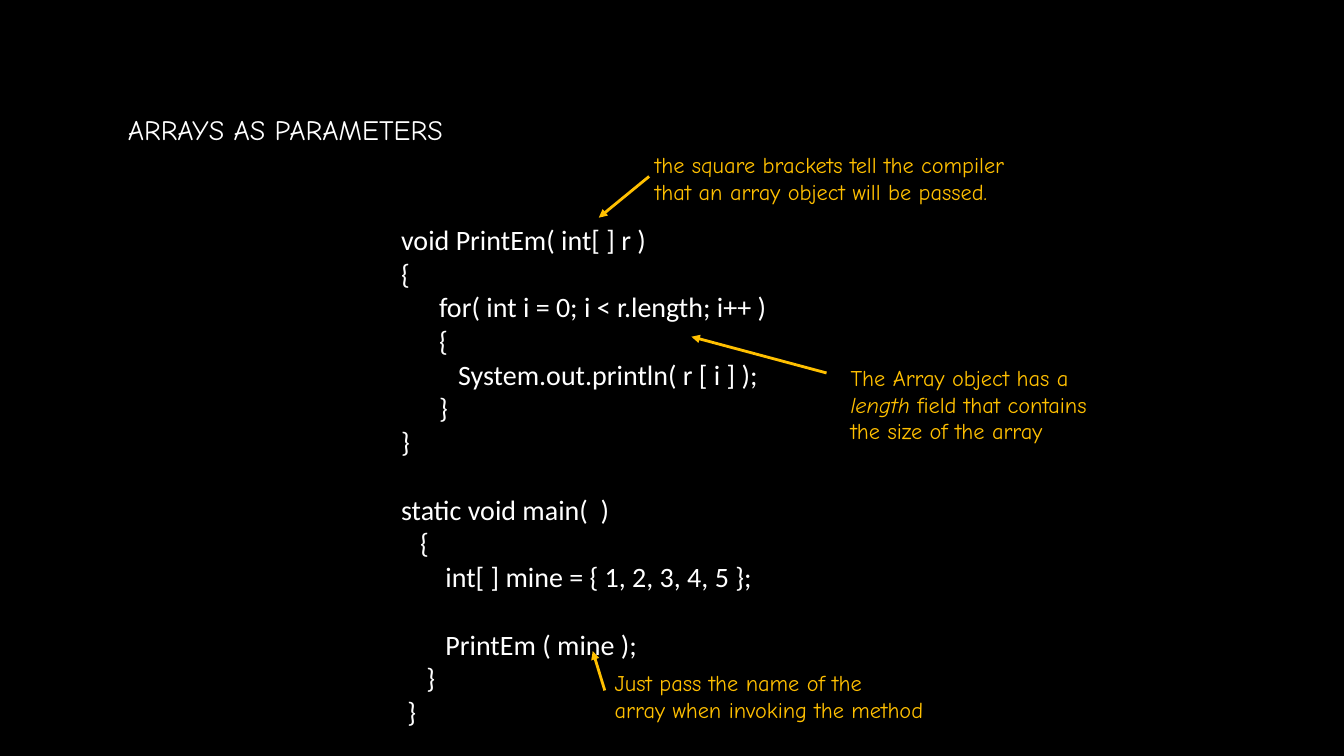
import pptx
import pptx.util
import pptx.dml.color
import pptx.enum.shapes
import pptx.enum.text
import pptx.oxml.ns
import pptx.oxml.xmlchemy
from dataclasses import dataclass

Pt = pptx.util.Pt
RGB = pptx.dml.color.RGBColor.from_string


@dataclass(frozen=True)
class Theme:
    back: str = "000000"
    text: str = "FFFFFF"
    accent: str = "FFC000"
    head: str = "Comic Neue"
    code: str = "Calibri"
    big: float = 20
    small: float = 16
    stroke: float = 2
    space: float = 4.52  # width of one code column
    row: float = 24.4  # height of one code line


THEME = Theme()

# Each code line: indent in columns, empty rows above, text
CODE = [
    (0, 0, "void PrintEm( int[ ] r )"),
    (0, 0, "{"),
    (6, 0, "for( int i = 0; i < r.length; i++ )"),
    (6, 0, "{"),
    (9, 0, "System.out.println( r [ i ] );"),
    (6, 0, "}"),
    (0, 0, "}"),
    (0, 1, "static void main(  )"),
    (3, 0, "{"),
    (7, 0, "int[ ] mine = { 1, 2, 3, 4, 5 };"),
    (7, 1, "PrintEm ( mine );"),
    (4, 0, "}"),
    (1, 0, "}"),
]

# Each note: box, arrow start and tip relative to the box, lines of (text, italic) runs
NOTES = [
    ((460.8, 104.4, 293, 46), (2.9, 21.6), (-33.1, 51.1),
     [[("the square brackets tell the compiler", False)],
      [("that an array object will be passed.", False)]]),
    ((600.5, 256.3, 206.6, 65.5), (-10.1, 10.1), (-106.6, -15.8),
     [[("The Array object has a", False)],
      [("length ", True), ("field that contains", False)],
      [("the size of the array", False)]]),
    ((432, 474.5, 253.4, 46), (0, 18.7), (-8.6, -9.4),
     [[("Just pass the name of the", False)],
      [("array when invoking the method", False)]]),
]


def add_box(slide, box):
    frame = slide.shapes.add_textbox(*map(Pt, box)).text_frame
    frame.word_wrap = True
    return frame


def add_line(frame, first, runs, face, size, color):
    para = frame.paragraphs[0] if first else frame.add_paragraph()
    para.font.name = face
    para.font.size = Pt(size)
    para.font.color.rgb = RGB(color)
    for text, slant in runs:
        run = para.add_run()
        run.text = text
        if slant:
            run.font.italic = True
    return para


def add_title(slide, box, text):
    frame = add_box(slide, box)
    frame.vertical_anchor = pptx.enum.text.MSO_ANCHOR.MIDDLE
    add_line(frame, True, [(text, False)], THEME.head, THEME.big, THEME.text)


def add_code(slide, box, lines):
    frame = add_box(slide, box)
    for num, (cols, gap, text) in enumerate(lines):
        para = add_line(frame, num == 0, [(text, False)],
                        THEME.code, THEME.big, THEME.text)
        para.space_before = Pt(gap * THEME.row)
        props = para._p.get_or_add_pPr()
        props.set("marL", str(int(Pt(cols * THEME.space))))
        props.set("indent", "0")


def add_arrow(slide, start, tip):
    kind = pptx.enum.shapes.MSO_CONNECTOR.STRAIGHT
    arrow = slide.shapes.add_connector(kind, *map(Pt, (*start, *tip)))
    arrow.line.color.rgb = RGB(THEME.accent)
    arrow.line.width = Pt(THEME.stroke)
    # Arrowhead, and no shadow
    make = pptx.oxml.xmlchemy.OxmlElement
    end = make("a:tailEnd")
    end.set("type", "triangle")
    props = arrow._element.spPr
    props.find(pptx.oxml.ns.qn("a:ln")).append(end)
    props.append(make("a:effectLst"))


def add_note(slide, box, start, tip, lines):
    frame = add_box(slide, box)
    for num, runs in enumerate(lines):
        add_line(frame, num == 0, runs, THEME.head, THEME.small, THEME.accent)
    left, top = box[:2]
    add_arrow(slide, *((left + x, top + y) for x, y in (start, tip)))


def main():
    deck = pptx.Presentation()
    deck.slide_width, deck.slide_height = Pt(960), Pt(540)
    slide = deck.slides.add_slide(deck.slide_layouts[6])
    fill = slide.background.fill
    fill.solid()
    fill.fore_color.rgb = RGB(THEME.back)

    add_title(slide, (84.2, 64.8, 298.8, 55.4), "ARRAYS AS PARAMETERS")
    add_code(slide, (279.4, 155.5, 278, 370.8), CODE)
    for note in NOTES:
        add_note(slide, *note)
    deck.save("out.pptx")


if __name__ == "__main__":
    main()
